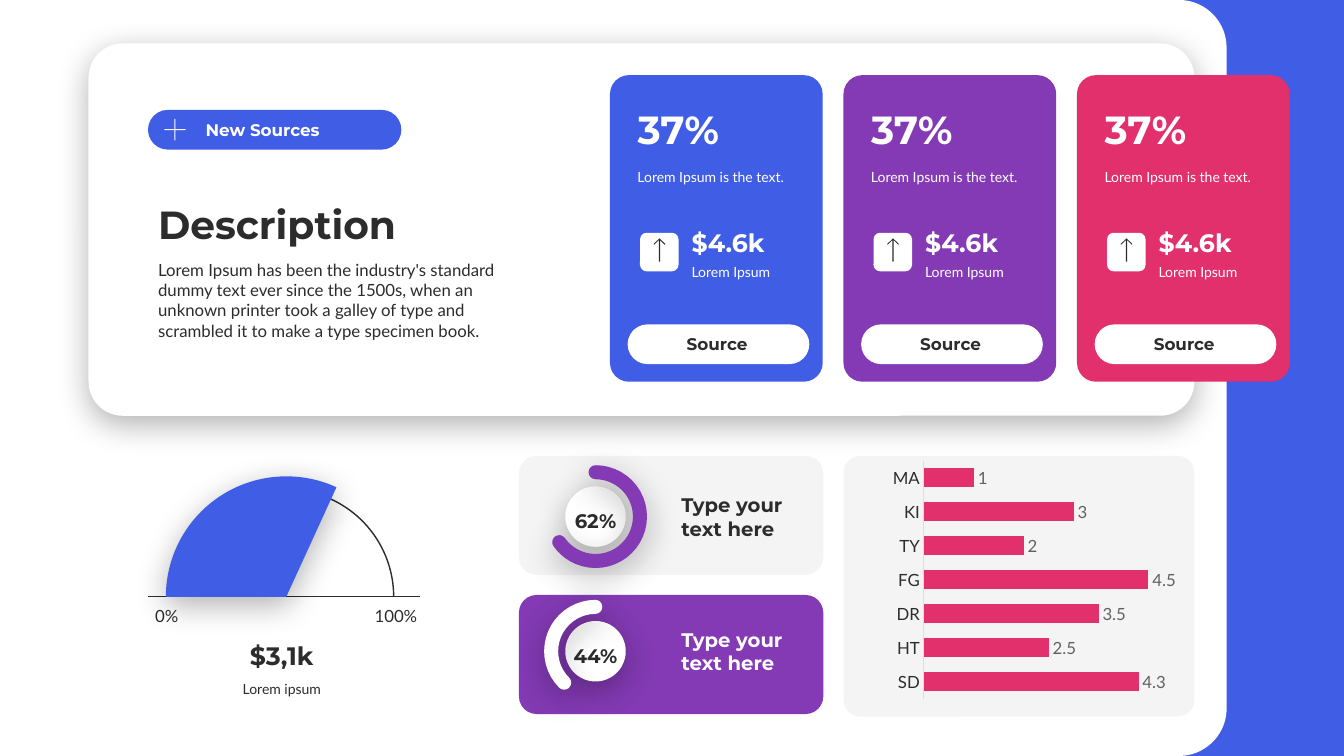
from lxml import etree
from pptx import Presentation
from pptx.chart.data import CategoryChartData
from pptx.dml.color import RGBColor
from pptx.enum.chart import XL_CHART_TYPE, XL_LABEL_POSITION, XL_TICK_MARK
from pptx.enum.shapes import MSO_CONNECTOR, MSO_SHAPE
from pptx.enum.text import MSO_ANCHOR, MSO_AUTO_SIZE, PP_ALIGN
from pptx.oxml.ns import qn
from pptx.util import Pt

RECT, ROUNDED, OVAL = MSO_SHAPE.RECTANGLE, MSO_SHAPE.ROUNDED_RECTANGLE, MSO_SHAPE.OVAL
ARC, CROSS = MSO_SHAPE.ARC, MSO_SHAPE.CROSS
LEFT, CENTER = PP_ALIGN.LEFT, PP_ALIGN.CENTER
TOP, MIDDLE, BOTTOM = MSO_ANCHOR.TOP, MSO_ANCHOR.MIDDLE, MSO_ANCHOR.BOTTOM
BODY_FONT, HEAD_FONT = "Lato", "Montserrat"
BLUE, PURPLE, PINK = "405DE6", "833AB4", "E1306C"
INK, WHITE, GREY, PALE = "2C2C2C", "FFFFFF", "616161", "DFDFDF"
DEGREE = 0.6  # arc adjustment units per degree
ARROW = [(0, 0), (4.2, 4), (3.7, 4.5), (0.4, 1.2), (0.4, 16.6),
         (-0.4, 16.6), (-0.4, 1.2), (-3.7, 4.5), (-4.2, 4)]


def rgb(color):
    return RGBColor.from_string(color)


def points(*lengths):
    return [Pt(length) for length in lengths]


def set_font(font, size, color, name=BODY_FONT, bold=False):
    font.size, font.name, font.bold = Pt(size), name, bold
    font.color.rgb = rgb(color)


def paint(shape, fill=None, line=None, width=1, alpha=None, shadow=False):
    """Set fill, line and, where wanted, the soft shadow."""
    if fill:
        shape.fill.solid()
        shape.fill.fore_color.rgb = rgb(fill)
    else:
        shape.fill.background()
    if line:
        shape.line.color.rgb = rgb(line)
        shape.line.width = Pt(width)
    else:
        shape.line.fill.background()
    properties = shape.element.spPr
    if alpha:
        tint = properties.find(".//" + qn("a:srgbClr"))
        etree.SubElement(tint, qn("a:alpha"), val=str(alpha * 1000))
    shape.shadow.inherit = False
    if shadow:
        outer = etree.SubElement(properties.find(qn("a:effectLst")), qn("a:outerShdw"),
                                 blurRad=str(Pt(23)), dist=str(Pt(6)), dir="5400000",
                                 algn="t", rotWithShape="0")
        black = etree.SubElement(outer, qn("a:srgbClr"), val="000000")
        etree.SubElement(black, qn("a:alpha"), val="30000")


def add_shape(slide, kind, box, adjust=(), **look):
    shape = slide.shapes.add_shape(kind, *points(*box))
    for index, value in enumerate(adjust):
        shape.adjustments[index] = value
    paint(shape, **look)
    return shape


def write(shape, text, size, color=INK, font=BODY_FONT, bold=False,
          align=LEFT, anchor=TOP, left=7.2, right=7.2, wrap=True):
    frame = shape.text_frame
    frame.auto_size, frame.word_wrap = MSO_AUTO_SIZE.NONE, wrap
    frame.vertical_anchor = anchor
    frame.margin_left, frame.margin_right = points(left, right)
    frame.margin_top = frame.margin_bottom = Pt(3.6)
    paragraph = frame.paragraphs[0]
    paragraph.alignment = align
    run = paragraph.add_run()
    run.text = text
    set_font(run.font, size, color, font, bold)
    return paragraph


def add_text(slide, box, text, size, color=INK, **style):
    write(slide.shapes.add_textbox(*points(*box)), text, size, color, **style)


def add_heading(slide, box, text, size, color=INK, **style):
    add_text(slide, box, text, size, color, font=HEAD_FONT, bold=True, **style)


def add_pill(slide, box, text, fill, color, **style):
    pill = add_shape(slide, ROUNDED, box, [0.5], fill=fill)
    write(pill, text, 12, color, font=HEAD_FONT, bold=True, anchor=MIDDLE, **style)


def fill_placeholder(slide, placeholder, box, text, size, **style):
    """Move a template placeholder in front of the panels and format it."""
    slide.shapes.element.append(placeholder.element)
    placeholder.left, placeholder.top, placeholder.width, placeholder.height = points(*box)
    paragraph = write(placeholder, text, size, **style)
    paragraph.space_before, paragraph.line_spacing = Pt(0), 1.0
    properties = paragraph._p.get_or_add_pPr()
    properties.set("marL", "0")
    properties.set("indent", "0")
    etree.SubElement(properties, qn("a:buNone"))


def backdrop(slide, width, height):
    add_shape(slide, RECT, (780.5, 0, width - 780.5, height), fill=BLUE)
    add_shape(slide, ROUNDED, (0, 0, 876.2, height), [0.063], fill=WHITE)


def description_card(slide, x, y, w, h):
    add_shape(slide, ROUNDED, (x, y, w, h), [0.092], fill=WHITE, shadow=True)
    left = x + 42.5
    add_pill(slide, (left, y + 47.5, 181, 28.4), "New Sources", BLUE, WHITE, left=37)
    add_shape(slide, CROSS, (left + 11.7, y + 54.1, 15.2, 15.2), [0.475], fill=WHITE)
    title, body = slide.placeholders
    fill_placeholder(slide, title, (left, y + 108, 265, 41), "Description", 28,
                     font=HEAD_FONT, bold=True, anchor=BOTTOM)
    fill_placeholder(slide, body, (left, y + 151, 265, 65.5),
                     "Lorem Ipsum has been the industry's standard dummy text ever since "
                     "the 1500s, when an unknown printer took a galley of type and "
                     "scrambled it to make a type specimen book.", 12)


def source_card(slide, x, y, w, h, color):
    add_shape(slide, ROUNDED, (x, y, w, h), [0.089], fill=color)
    left = x + 12.6
    add_heading(slide, (left, y + 17.5, 135, 41), "37%", 28, WHITE, anchor=BOTTOM)
    add_text(slide, (left, y + 63, 132.5, 19.4), "Lorem Ipsum is the text.", 10, WHITE)
    # Arrow tile
    add_shape(slide, ROUNDED, (x + 21.5, y + 112.6, 27.5, 27.5), fill=WHITE)
    outline = [(round(100 * dx), round(100 * dy)) for dx, dy in ARROW]
    builder = slide.shapes.build_freeform(*outline[0], scale=Pt(1) / 100)
    builder.add_line_segments(outline[1:], close=True)
    paint(builder.convert_to_shape(*points(x + 35.4, y + 116.6)), fill=INK)
    # Amount and button
    add_heading(slide, (x + 58.3, y + 104.7, 75, 29), "$4.6k", 18, WHITE,
                anchor=BOTTOM, left=0, right=0)
    add_text(slide, (x + 58.3, y + 130.7, 75, 19.4), "Lorem Ipsum", 10, WHITE,
             left=0, right=0)
    add_pill(slide, (left, y + 178, 129.8, 28.4), "Source", WHITE, INK, align=CENTER, right=9)


def gauge(slide, x, base, w):
    center = x + 98.7
    scale_radius, value_radius = 76.7, 86.05
    add_shape(slide, ARC, (center - scale_radius, base - scale_radius,
                           2 * scale_radius, 2 * scale_radius),
              [180 * DEGREE, 0], line=INK)
    axis = slide.shapes.add_connector(MSO_CONNECTOR.STRAIGHT, *points(x, base, x + w, base))
    axis.line.color.rgb, axis.line.width = rgb(INK), Pt(1)
    etree.SubElement(axis.element.spPr, qn("a:effectLst"))
    for label, label_x, label_w in (("0%", x + 5, 16.6), ("100%", x + 161.5, 31)):
        add_text(slide, (label_x, base + 3, label_w, 21.6), label, 12, align=CENTER,
                 anchor=MIDDLE, left=0, right=0, wrap=False)
    add_shape(slide, ARC, (center - value_radius, base - value_radius,
                           2 * value_radius, 2 * value_radius),
              [180 * DEGREE, 294.6 * DEGREE], fill=BLUE, shadow=True)
    add_text(slide, (x + 8.7, base + 56.5, 173.5, 19.4), "Lorem ipsum", 10, align=CENTER)
    add_heading(slide, (x + 8.7, base + 27.5, 173.5, 29), "$3,1k", 18,
                align=CENTER, anchor=BOTTOM)


def ring_panel(slide, x, y, w, h, middle, look, percent, start, end, ring, text_color):
    add_shape(slide, ROUNDED, (x, y, w, h), [0.148], **look)
    center, hub, radius = x + 54.7, 21.6, 31.7
    add_shape(slide, OVAL, (center - hub, middle - hub, 2 * hub, 2 * hub),
              fill=WHITE, shadow=True)
    add_heading(slide, (center - 24.2, middle - 9.5, 48.4, 24.3), percent, 14,
                align=CENTER, anchor=BOTTOM)
    arc = add_shape(slide, ARC, (center - radius, middle - radius, 2 * radius, 2 * radius),
                    [start * DEGREE, end * DEGREE], line=ring, width=10, shadow=True)
    arc.element.spPr.find(qn("a:ln")).set("cap", "rnd")
    add_heading(slide, (x + 109, middle - 20.4, 94, 41), "Type your text here", 14,
                text_color, anchor=MIDDLE)


def bar_panel(slide, x, y, w, h):
    add_shape(slide, ROUNDED, (x, y, w, h), [0.064], fill=INK, alpha=5)
    data = CategoryChartData()
    data.categories = ["SD", "HT", "DR", "FG", "TY", "KI", "MA"]
    data.add_series("Series 1", [4.3, 2.5, 3.5, 4.5, 2, 3, 1])
    chart = slide.shapes.add_chart(XL_CHART_TYPE.BAR_CLUSTERED,
                                   *points(x + 31, y, 208.8, 177), data).chart
    chart.has_legend = chart.has_title = False
    set_font(chart.font, 10, INK)
    categories, values = chart.category_axis, chart.value_axis
    categories.major_tick_mark = categories.minor_tick_mark = XL_TICK_MARK.NONE
    categories.format.line.color.rgb = rgb(PALE)
    categories.format.line.width = Pt(0.75)
    set_font(categories.tick_labels.font, 12, INK)
    values.visible = values.has_major_gridlines = False
    values.minimum_scale, values.maximum_scale = 0, 5
    plot = chart.plots[0]
    plot.gap_width, plot.vary_by_categories = 75, False
    bars = plot.series[0]
    bars.format.fill.solid()
    bars.format.fill.fore_color.rgb = rgb(PINK)
    labels = bars.data_labels
    labels.show_value, labels.position = True, XL_LABEL_POSITION.OUTSIDE_END
    set_font(labels.font, 12, GREY)


def main():
    deck = Presentation()
    deck.slide_width, deck.slide_height = points(960, 540)
    slide = deck.slides.add_slide(deck.slide_layouts[1])
    backdrop(slide, 960, 540)
    description_card(slide, 63.2, 31, 790, 266)
    for index, color in enumerate((BLUE, PURPLE, PINK)):
        source_card(slide, 435.7 + 166.8 * index, 53.7, 152, 219, color)
    gauge(slide, 105.8, 426.3, 194.4)
    ring_panel(slide, 370.7, 325.6, 217.4, 85, 369, {"fill": INK, "alpha": 5},
               "62%", 270, 144.9, PURPLE, INK)
    ring_panel(slide, 370.7, 425, 217.4, 85, 465.2, {"fill": PURPLE},
               "44%", 134.9, 269.7, WHITE, WHITE)
    bar_panel(slide, 602.6, 325.6, 250.6, 186.2)
    deck.save("out.pptx")


if __name__ == "__main__":
    main()
